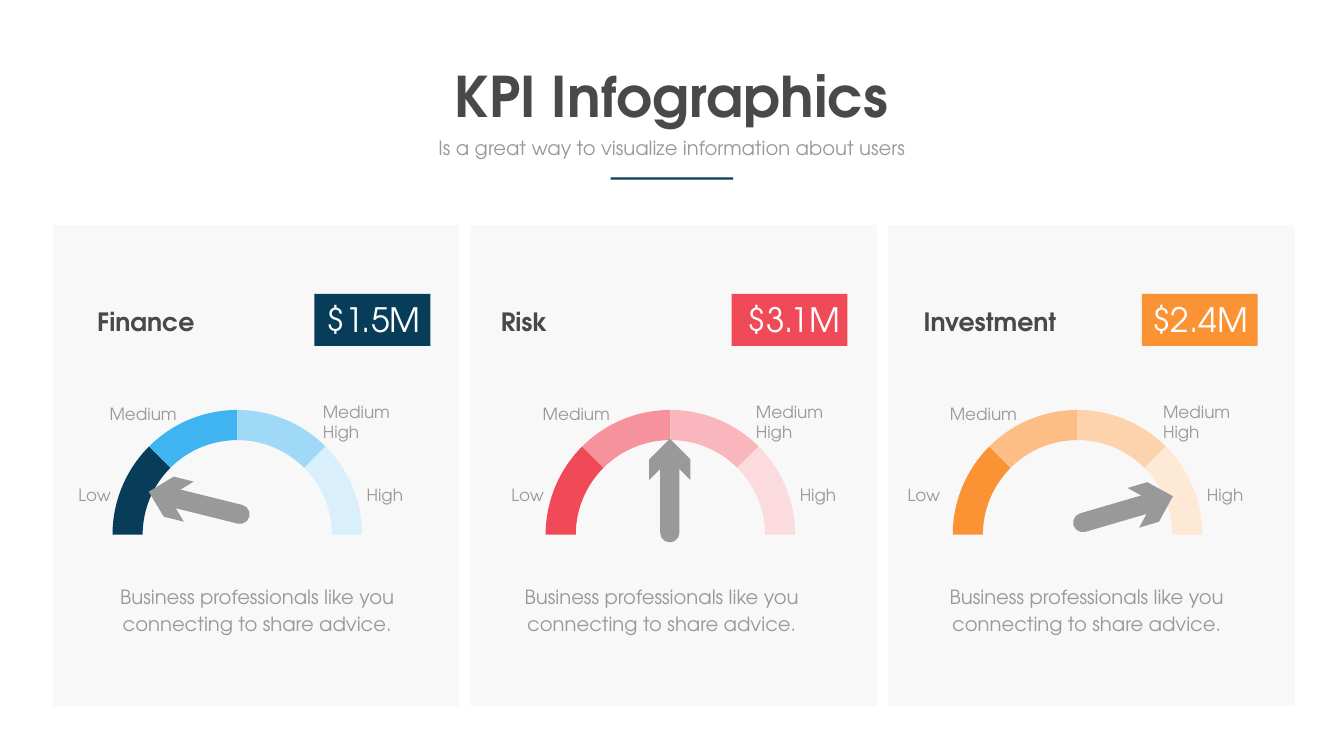
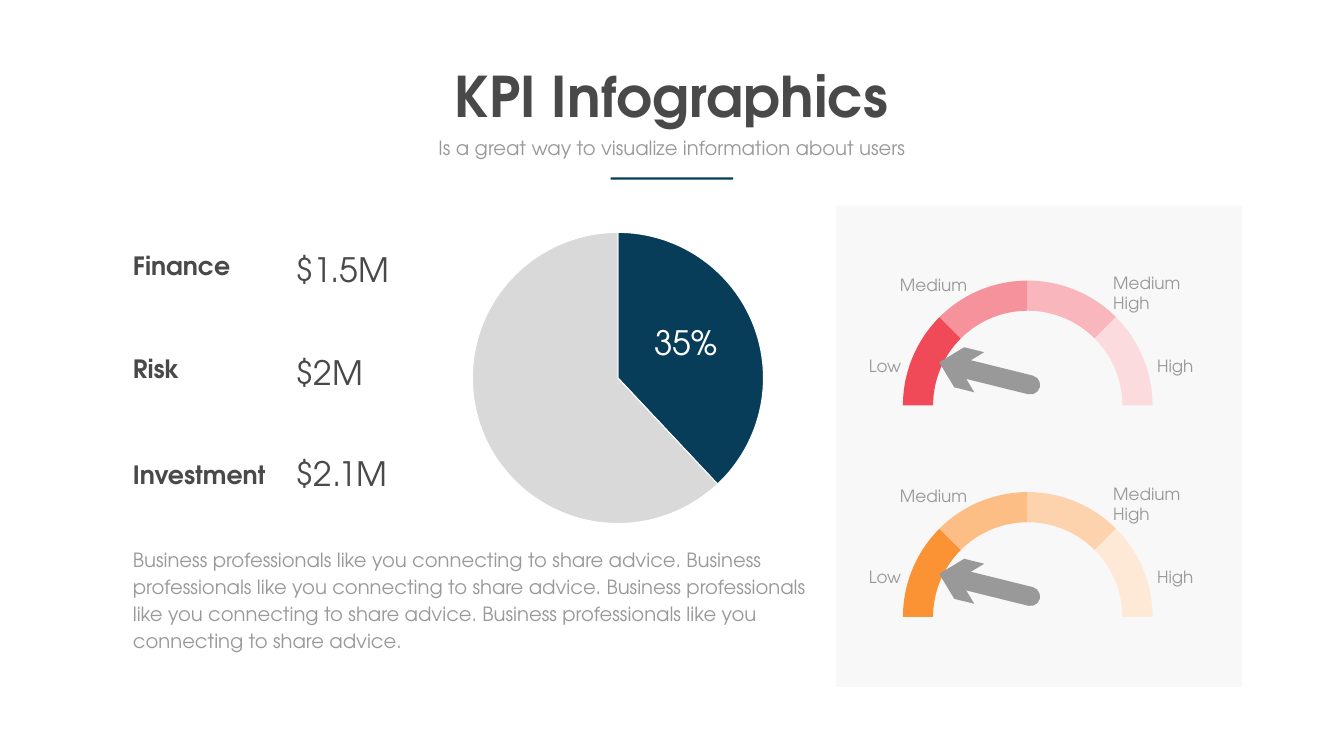
import math

import pptx
import pptx.chart.data
import pptx.dml.color
import pptx.enum.chart
import pptx.enum.shapes
import pptx.enum.text
import pptx.oxml
import pptx.oxml.ns
import pptx.util

Cm = pptx.util.Cm
Pt = pptx.util.Pt
Shape = pptx.enum.shapes.MSO_SHAPE
Align = pptx.enum.text.PP_ALIGN

FONT = "TeX Gyre Adventor"
COLORS = {
    "dark": "494949",
    "gray": "999999",
    "panel": "F2F2F2",
    "rest": "D9D9D9",
    "white": "FFFFFF",
    "navy": "073D59",
    "red": "F04958",
    "orange": "FB9234",
}
# Gauge segments from Low to High
SCALES = {
    "navy": (COLORS["navy"], "3FB4F0", "9FD9F7", "D9F0FC"),
    "red": (COLORS["red"], "F6929B", "F9B6BC", "FCDBDE"),
    "orange": (COLORS["orange"], "FDBE85", "FDD3AE", "FEE9D6"),
}
OUTER_RADIUS, INNER_RADIUS = 6.29, 4.77
# Rotation of the needle and offset of its bar from the gauge centre
NEEDLES = {
    "low": (283.9, -1.55, -1.45),
    "middle": (0, -0.03, -1.84),
    "high": (73.7, 1.93, -1.1),
}
LOW_OFFSET = -8.26
PANEL_WIDTH, PANEL_HEIGHT = 20.47, 24.26
ADVICE = "Business professionals like you connecting to share advice."


def rgb(value):
    return pptx.dml.color.RGBColor.from_string(value)


def format_text(shape, text, size, color, bold=False, align=Align.LEFT,
                wrap=True, line_height=None):
    frame = shape.text_frame
    frame.text = text
    frame.word_wrap = wrap
    frame.auto_size = pptx.enum.text.MSO_AUTO_SIZE.SHAPE_TO_FIT_TEXT
    frame.vertical_anchor = pptx.enum.text.MSO_ANCHOR.TOP
    for paragraph in frame.paragraphs:
        paragraph.alignment = align
        if line_height:
            paragraph.line_spacing = Pt(line_height)
        for run in paragraph.runs:
            run.font.name = FONT
            run.font.size = Pt(size)
            run.font.bold = bold
            run.font.color.rgb = rgb(COLORS[color])


def add_text(shapes, text, left, top, width, height, size, color, **style):
    box = shapes.add_textbox(Cm(left), Cm(top), Cm(width), Cm(height))
    format_text(box, text, size, color, **style)


def paint(shape, color):
    shape.shadow.inherit = False
    shape.fill.solid()
    shape.fill.fore_color.rgb = rgb(color)
    shape.line.fill.background()


def add_block(shapes, kind, left, top, width, height, color):
    shape = shapes.add_shape(kind, Cm(left), Cm(top), Cm(width), Cm(height))
    paint(shape, COLORS[color])
    return shape


def add_panel(slide, left, top):
    """Add a half-transparent light rectangle."""
    panel = add_block(slide.shapes, Shape.RECTANGLE, left, top,
                      PANEL_WIDTH, PANEL_HEIGHT, "panel")
    color = panel.fill._xPr.find(".//" + pptx.oxml.ns.qn("a:srgbClr"))
    color.append(pptx.oxml.parse_xml(
        f'<a:alpha {pptx.oxml.ns.nsdecls("a")} val="50000"/>'))


def add_header(slide):
    title = slide.shapes.title
    title.left, title.top = Cm(22.53), Cm(2.97)
    title.width, title.height = Cm(22.63), Cm(3.68)
    format_text(title, "KPI Infographics", 80, "dark", bold=True,
                align=Align.CENTER, wrap=False)
    add_text(slide.shapes, "Is a great way to visualize information about users",
             21.72, 6.73, 24.28, 1.45, 28, "gray", align=Align.CENTER)
    add_block(slide.shapes, Shape.RECTANGLE, 30.78, 8.94, 6.17, 0.11, "navy")


def add_segment(shapes, center_x, center_y, start, color):
    """Add a ring segment of 45 degrees, running clockwise from start."""
    end = start - 45

    def point(radius, degrees, tangent=0):
        """Return a point on a circle, moved along the tangent there."""
        angle = math.radians(degrees)
        x = math.cos(angle) - tangent * math.sin(angle)
        y = math.sin(angle) + tangent * math.cos(angle)
        return Cm(center_x + radius * x), Cm(center_y - radius * y)

    corners = [point(OUTER_RADIUS, start), point(OUTER_RADIUS, end),
               point(INNER_RADIUS, end), point(INNER_RADIUS, start)]
    builder = shapes.build_freeform(*corners[0])
    builder.add_line_segments(corners[1:], close=True)
    segment = builder.convert_to_shape()
    paint(segment, color)

    # Bend the outer and the inner edge into arcs
    pull = 4 / 3 * math.tan(math.radians(45 / 4))
    lines = segment._element.findall(".//" + pptx.oxml.ns.qn("a:lnTo"))
    arcs = ((lines[0], OUTER_RADIUS, start, end, -pull),
            (lines[2], INNER_RADIUS, end, start, pull))
    for line, radius, first, last, tangent in arcs:
        controls = (point(radius, first, tangent), point(radius, last, -tangent),
                    point(radius, last))
        points = "".join(f'<a:pt x="{x - segment.left}" y="{y - segment.top}"/>'
                         for x, y in controls)
        curve = pptx.oxml.parse_xml(
            f'<a:cubicBezTo {pptx.oxml.ns.nsdecls("a")}>{points}</a:cubicBezTo>')
        line.getparent().replace(line, curve)


def add_needle(shapes, center_x, center_y, level):
    rotation, offset_x, offset_y = NEEDLES[level]
    x, y = center_x + offset_x, center_y + offset_y
    width, length, head, reach = 0.97, 4.45, 2.08, 1.96
    bar = add_block(shapes, Shape.ROUNDED_RECTANGLE, x - width / 2, y - length / 2,
                    width, length, "gray")
    bar.adjustments[0] = 0.5
    bar.rotation = rotation
    x += reach * math.sin(math.radians(rotation))
    y -= reach * math.cos(math.radians(rotation))
    chevron = add_block(shapes, Shape.CHEVRON, x - head / 2, y - head / 2,
                        head, head, "gray")
    chevron.rotation = (rotation + 270) % 360


def add_gauge(slide, center_x, center_y, scale, level, low_offset=LOW_OFFSET):
    shapes = slide.shapes.add_group_shape().shapes
    for index, color in enumerate(SCALES[scale]):
        add_segment(shapes, center_x, center_y, 180 - 45 * index, color)
    add_needle(shapes, center_x, center_y, level)
    labels = (
        ("Low", low_offset, -2.64, 3.35, 1.27, Align.LEFT),
        ("Medium", -6.88, -6.73, 4.27, 1.27, Align.CENTER),
        ("Medium\nHigh", 4.06, -6.83, 4.83, 2.31, Align.LEFT),
        ("High", 6.27, -2.64, 3.35, 1.27, Align.LEFT),
    )
    for text, x, y, width, height, align in labels:
        add_text(shapes, text, center_x + x, center_y + y, width, height,
                 24, "gray", align=align)


def add_name(slide, name, left, top, width):
    add_text(slide.shapes, name, left, top, width, 1.8, 36, "dark", bold=True)


def add_value(slide, value, left, top, width, color, align=Align.LEFT):
    add_text(slide.shapes, value, left, top, width, 2.31, 48, color,
             align=align, wrap=False)


def add_advice(slide, text, left, top, width, height, align=Align.LEFT):
    add_text(slide.shapes, text, left, top, width, height, 28, "gray",
             align=align, line_height=38.6)


def add_share_pie(slide):
    data = pptx.chart.data.CategoryChartData()
    data.categories = ["1", "2"]
    data.add_series("Series 1", (38, 62))
    chart = slide.shapes.add_chart(
        pptx.enum.chart.XL_CHART_TYPE.PIE,
        Cm(23.5), Cm(10.49), Cm(15.29), Cm(17.12), data).chart
    chart.has_legend = False
    chart.has_title = False
    chart.font.name = "Manrope"
    chart.font.size = Pt(20)
    chart.font.color.rgb = rgb(COLORS["gray"])
    plot = chart.plots[0]
    plot.vary_by_categories = False
    for index, color in enumerate(("navy", "rest")):
        point_format = plot.series[0].points[index].format
        point_format.fill.solid()
        point_format.fill.fore_color.rgb = rgb(COLORS[color])
        point_format.line.color.rgb = rgb(COLORS["white"])
        point_format.line.width = Pt(1.5)
    plot_area = chart._chartSpace.chart.plotArea
    for layout in plot_area.findall(pptx.oxml.ns.qn("c:layout")):
        plot_area.remove(layout)
    plot_area.insert(0, pptx.oxml.parse_xml(
        f'<c:layout {pptx.oxml.ns.nsdecls("c")}><c:manualLayout>'
        '<c:layoutTarget val="inner"/><c:xMode val="edge"/><c:yMode val="edge"/>'
        '<c:x val="0.02"/><c:y val="0.07"/><c:w val="0.96"/><c:h val="0.86"/>'
        '</c:manualLayout></c:layout>'))
    add_text(slide.shapes, "35%", 31.14, 16.08, 6.86, 2.31, 48, "white",
             align=Align.CENTER)


def new_slide(presentation):
    return presentation.slides.add_slide(presentation.slide_layouts[5])


def build_cards(presentation):
    slide = new_slide(presentation)
    add_header(slide)
    # name, its width, value, colour, needle, then left of name, badge, value
    # and advice, gauge centre and left offset of the Low label
    cards = (
        ("Finance", 5.84, "$1.5M", "navy", "low",
         4.65, 15.85, 16.13, 5.62, 11.96, LOW_OFFSET),
        ("Risk", 5.84, "$3.1M", "red", "middle",
         24.99, 36.87, 37.31, 26.01, 33.79, LOW_OFFSET),
        ("Investment", 8.03, "$2.4M", "orange", "high",
         46.3, 57.55, 57.79, 47.43, 54.31, -8.81),
    )
    for index, card in enumerate(cards):
        (name, name_width, value, color, level, name_left, badge_left, value_left,
         advice_left, center_x, low_offset) = card
        add_panel(slide, 2.65 + 21.06 * index, 11.33)
        add_block(slide.shapes, Shape.RECTANGLE, badge_left, 14.81, 5.84, 2.62, color)
        add_name(slide, name, name_left, 15.32, name_width)
        add_value(slide, value, value_left, 14.96, 5.41, "white", Align.CENTER)
        add_gauge(slide, center_x, 26.95, color, level, low_offset)
        add_advice(slide, ADVICE, advice_left, 29.18, 14.68, 2.92, Align.CENTER)


def build_overview(presentation):
    slide = new_slide(presentation)
    add_header(slide)
    add_panel(slide, 42.14, 10.36)
    add_share_pie(slide)
    # name, its top and width, value, its top and width
    rows = (
        ("Finance", 12.5, 5.84, "$1.5M", 12.42, 5.41),
        ("Risk", 17.68, 5.84, "$2M", 17.63, 3.99),
        ("Investment", 23.04, 7.77, "$2.1M", 22.68, 5.41),
    )
    for name, name_top, name_width, value, value_top, value_width in rows:
        add_name(slide, name, 6.45, name_top, name_width)
        add_value(slide, value, 14.63, value_top, value_width, "dark")
    add_advice(slide, " ".join([ADVICE] * 4), 6.45, 27.31, 34.75, 5.69)
    for scale, center_y in (("red", 20.43), ("orange", 31.09)):
        add_gauge(slide, 51.8, center_y, scale, "low")


def main():
    presentation = pptx.Presentation()
    presentation.slide_width = Cm(67.74)
    presentation.slide_height = Cm(38.1)
    build_cards(presentation)
    build_overview(presentation)
    presentation.save("out.pptx")


if __name__ == "__main__":
    main()
